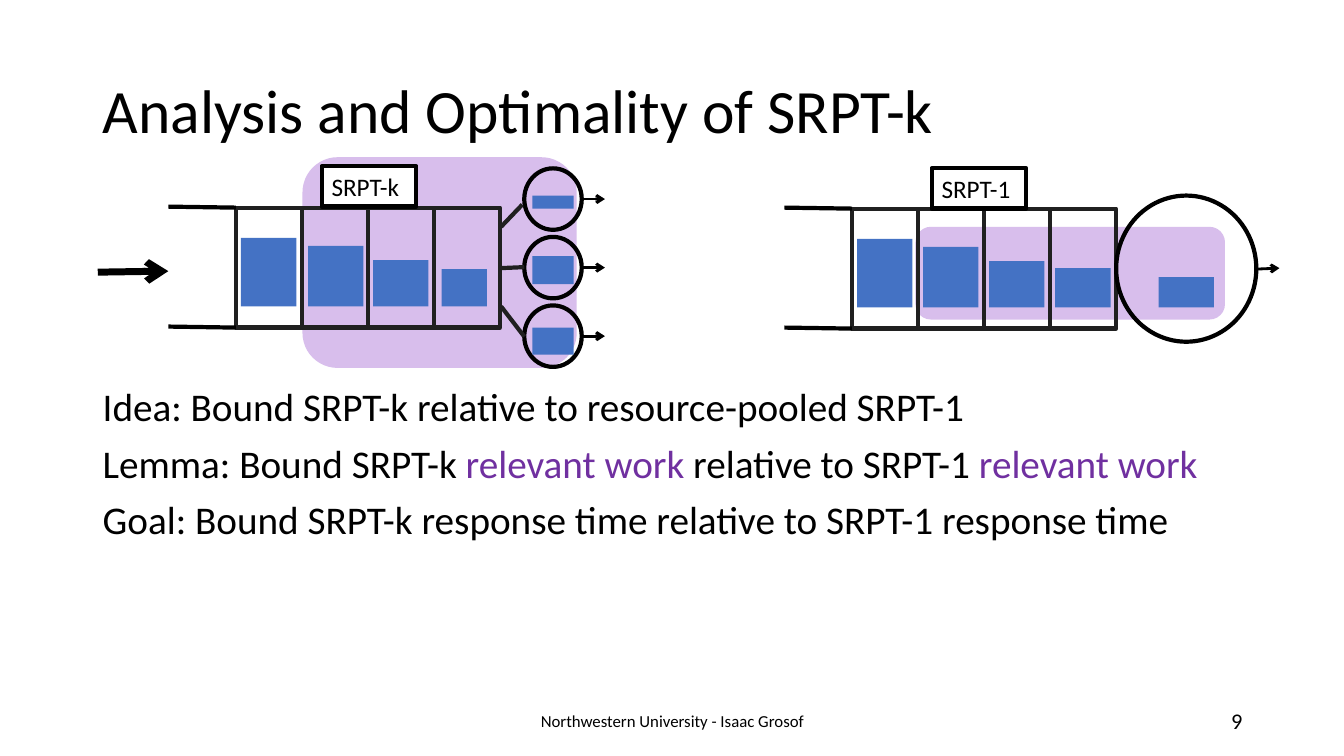
"""Slide comparing the SRPT-k and SRPT-1 queues, laid out on a grid of 75 rows."""
from lxml.etree import SubElement
from pptx import Presentation
from pptx.dml.color import RGBColor
from pptx.enum.shapes import MSO_CONNECTOR, MSO_SHAPE
from pptx.enum.text import MSO_ANCHOR, PP_ALIGN
from pptx.oxml.ns import qn
from pptx.util import Inches, Pt

BLACK = RGBColor(0x00, 0x00, 0x00)
WHITE = RGBColor(0xFF, 0xFF, 0xFF)
CHARCOAL = RGBColor(0x20, 0x20, 0x20)
BLUE = RGBColor(0x44, 0x72, 0xC4)
LILAC = RGBColor(0xD8, 0xBE, 0xEC)
PURPLE = RGBColor(0x70, 0x30, 0xA0)

prs = Presentation()
prs.slide_width, prs.slide_height = Inches(13.33), Inches(7.5)
s = prs.slides.add_slide(prs.slide_layouts[6])
UNIT = prs.slide_height / 75
CELL_W, CELL_H = 6.55, 11.9
BAR_W, BAR_BASE = 5.5, 9.8
SERVER_X, SERVER_W, SERVER_H, SERVER_STEP = 52, 5.7, 6.1, 6.8


def add_box(kind, left, top, width, height, fill=None, line=None):
    """Add a preset shape placed in grid units."""
    sp = s.shapes.add_shape(kind, *(round(v * UNIT) for v in (left, top, width, height)))
    sp.shadow.inherit = False
    if fill is None:
        sp.fill.background()
    else:
        sp.fill.solid()
        sp.fill.fore_color.rgb = fill
    if line is None:
        sp.line.fill.background()
    else:
        sp.line.color.rgb = line
        sp.line.width = Pt(3)


def add_line(x1, y1, x2, y2, color=BLACK, width=3, arrow=False):
    """Add a straight line between two grid points."""
    cn = s.shapes.add_connector(
        MSO_CONNECTOR.STRAIGHT, *(round(v * UNIT) for v in (x1, y1, x2, y2)))
    cn.line.color.rgb = color
    cn.line.width = Pt(width)
    if arrow:
        SubElement(cn.line._get_or_add_ln(), qn("a:tailEnd"), type="arrow")
    SubElement(cn._element.spPr, qn("a:effectLst"))


add_box(MSO_SHAPE.ROUNDED_RECTANGLE, 90.8, 22.5, 30.7, 9.2, LILAC)
add_box(MSO_SHAPE.ROUNDED_RECTANGLE, 30, 15.6, 27.2, 20.9, LILAC)

queues = [
    (23.4, 20.6, [(0.5, BAR_W, 6.8), (0.6, BAR_W, 6), (0.5, BAR_W, 4.6), (0.75, 4.5, 3.7)]),
    (84.5, 20.7, [(0.5, BAR_W, 6.8), (0.5, BAR_W, 6), (0.5, BAR_W, 4.6), (0.5, BAR_W, 3.9)]),
]
for left, top, bars in queues:
    for i, (inset, width, height) in enumerate(bars):
        x = left + i * CELL_W
        add_box(MSO_SHAPE.RECTANGLE, x, top, CELL_W, CELL_H, line=CHARCOAL)
        add_box(MSO_SHAPE.RECTANGLE, x + inset, top + BAR_BASE - height, width, height, BLUE)
    for y in (top, top + CELL_H):
        add_line(left - 6.7, y - 0.1, left, y)

add_line(9.7, 27, 16.7, 26.9, width=5, arrow=True)

servers = [(2.7, 1.3, 22.5, 51.8, 20.3), (1.9, 2.8, 26.6, 52, 26.5), (2.2, 2.7, 30.4, 52, 33.4)]
for i, (job_top, job_h, link_y, end_x, end_y) in enumerate(servers):
    top = 16.7 + i * SERVER_STEP
    middle = top + SERVER_H / 2
    add_box(MSO_SHAPE.OVAL, SERVER_X, top, SERVER_W, SERVER_H, line=BLACK)
    add_box(MSO_SHAPE.RECTANGLE, SERVER_X + 0.8, top + job_top, 4.1, job_h, BLUE)
    add_line(49.7, link_y, end_x, end_y, CHARCOAL)
    add_line(SERVER_X + SERVER_W, middle, 60, middle, width=2, arrow=True)

add_box(MSO_SHAPE.OVAL, 110.7, 19.4, 13.9, 14.5, line=BLACK)
add_box(MSO_SHAPE.RECTANGLE, 114.9, 27.5, BAR_W, 3, BLUE)
add_line(124.6, 26.7, 126.9, 26.6, width=2, arrow=True)

RELEVANT = ("relevant work", PURPLE)
ideas = [
    [("Idea: Bound SRPT-k relative to resource-pooled SRPT-1", BLACK)],
    [("Lemma: Bound SRPT-k ", BLACK), RELEVANT, (" relative to SRPT-1 ", BLACK), RELEVANT],
    [("Goal: Bound SRPT-k response time relative to SRPT-1 response time", BLACK)],
]
TOP, MID = MSO_ANCHOR.TOP, MSO_ANCHOR.MIDDLE
LEFT, CENTER, RIGHT = PP_ALIGN.LEFT, PP_ALIGN.CENTER, PP_ALIGN.RIGHT
texts = [
    ((9.2, 4, 115, 14.5), MID, LEFT, 44, 0.9, False,
     [[("Analysis and Optimality of SRPT-k", BLACK)]]),
    ((31.9, 16.5, 9.4, 4), TOP, LEFT, 18, 1, True, [[("SRPT-k", BLACK)]]),
    ((92.4, 16.7, 9.4, 4), TOP, LEFT, 18, 1, True, [[("SRPT-1", BLACK)]]),
    ((9.2, 38, 116.9, 29.6), TOP, LEFT, 28, 0.9, False, ideas),
    ((94.2, 69.5, 30, 4), MID, RIGHT, 16, 1, False, [[("9", BLACK)]]),
    ((44.2, 69.5, 45, 4), MID, CENTER, 12, 1, False,
     [[("Northwestern University - Isaac Grosof", BLACK)]]),
]
for place, anchor, align, size, spacing, framed, paragraphs in texts:
    tb = s.shapes.add_textbox(*(round(v * UNIT) for v in place))
    if framed:
        tb.fill.solid()
        tb.fill.fore_color.rgb = WHITE
        tb.line.color.rgb = BLACK
        tb.line.width = Pt(3)
    tf = tb.text_frame
    tf.word_wrap = True
    tf.vertical_anchor = anchor
    for i, runs in enumerate(paragraphs):
        p = tf.add_paragraph() if i else tf.paragraphs[0]
        p.alignment = align
        p.line_spacing = spacing
        if i:
            p.space_before = Pt(10)
        for text, color in runs:
            r = p.add_run()
            r.text = text
            r.font.name = "Calibri"
            r.font.size = Pt(size)
            r.font.color.rgb = color

prs.save("out.pptx")
